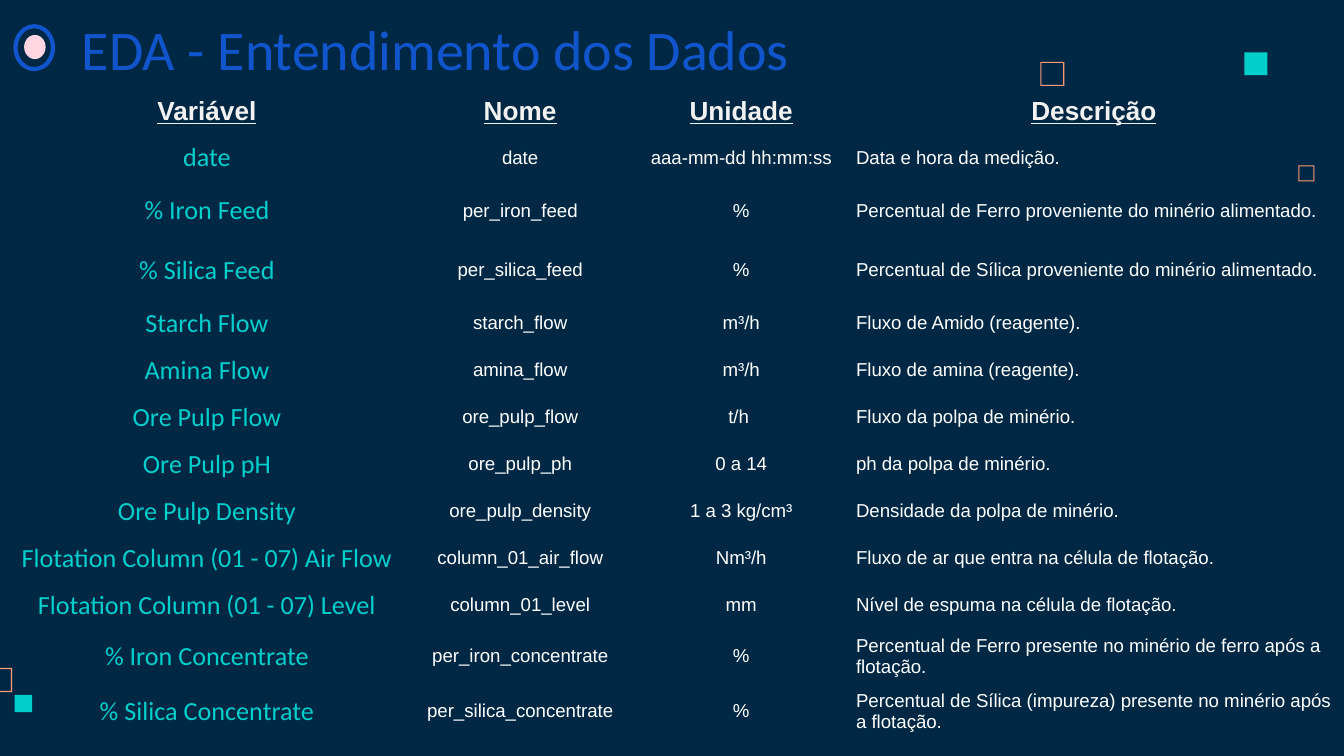
from typing import NamedTuple

from pptx import Presentation
from pptx.dml.color import RGBColor
from pptx.enum.shapes import MSO_SHAPE
from pptx.enum.text import MSO_ANCHOR, MSO_AUTO_SIZE, PP_ALIGN
from pptx.util import Inches, Pt

SQUARE, FRAME = MSO_SHAPE.RECTANGLE, MSO_SHAPE.FRAME
OVAL, DONUT = MSO_SHAPE.OVAL, MSO_SHAPE.DONUT
MIDDLE = MSO_ANCHOR.MIDDLE
LEFT, CENTER = PP_ALIGN.LEFT, PP_ALIGN.CENTER
FIXED_SIZE = MSO_AUTO_SIZE.NONE

COLORS = {
    "background": "002845",
    "title": "1155CC",
    "teal": "00CFCC",
    "orange": "FF9973",
    "pink": "FFD6E1",
    "header": "F2F2F2",
    "body": "FFFFFF",
}
SLIDE_WIDTH = Inches(10)
SLIDE_HEIGHT = SLIDE_WIDTH * 9 // 16
TITLE_ONLY_LAYOUT = 5
PLAIN_TABLE_STYLE = "{2D5ABB26-0587-4C30-8999-92F81FD0307C}"
COLUMN_WIDTHS = [3.08, 1.58, 1.71, 1.86, 1.68]
DESCRIPTION_COLUMN = 3


class Ornament(NamedTuple):
    kind: int
    left: float
    top: float
    width: float
    height: float
    color: str
    thickness: float | None = None


class Variable(NamedTuple):
    label: str
    name: str
    unit: str
    description: str
    height: float = 0.35


ORNAMENTS = [
    Ornament(FRAME, 9.66, 1.23, 0.12, 0.12, "orange", 0.07),
    Ornament(FRAME, 7.74, 0.46, 0.18, 0.18, "orange", 0.05),
    Ornament(SQUARE, 9.26, 0.39, 0.17, 0.17, "teal"),
    Ornament(FRAME, -0.09, 4.97, 0.18, 0.18, "orange", 0.05),
    Ornament(SQUARE, 0.11, 5.17, 0.13, 0.13, "teal"),
]
TITLE_MARKER = [
    Ornament(OVAL, 0.18, 0.26, 0.16, 0.18, "pink"),
    Ornament(DONUT, 0.1, 0.18, 0.31, 0.35, "title", 0.1),
]
HEADER = Variable("Variável", "Nome", "Unidade", "Descrição", 0.34)
VARIABLES = [
    Variable("date", "date", "aaa-mm-dd hh:mm:ss", "Data e hora da medição."),
    Variable("% Iron Feed", "per_iron_feed", "%",
             "Percentual de Ferro proveniente do minério alimentado.", 0.44),
    Variable("% Silica Feed", "per_silica_feed", "%",
             "Percentual de Sílica proveniente do minério alimentado.", 0.44),
    Variable("Starch Flow", "starch_flow", "m³/h", "Fluxo de Amido (reagente)."),
    Variable("Amina Flow", "amina_flow", "m³/h", "Fluxo de amina (reagente)."),
    Variable("Ore Pulp Flow", "ore_pulp_flow", "t/h ", "Fluxo da polpa de minério."),
    Variable("Ore Pulp pH", "ore_pulp_ph", "0 a 14", "ph da polpa de minério."),
    Variable("Ore Pulp Density", "ore_pulp_density", "1 a 3 kg/cm³",
             "Densidade da polpa de minério."),
    Variable("Flotation Column (01 - 07) Air Flow", "column_01_air_flow", "Nm³/h",
             "Fluxo de ar que entra na célula de flotação."),
    Variable("Flotation Column (01 - 07) Level", "column_01_level", "mm",
             "Nível de espuma na célula de flotação."),
    Variable("% Iron Concentrate", "per_iron_concentrate", "%",
             "Percentual de Ferro presente no minério de ferro após a flotação.", 0.41),
    Variable("% Silica Concentrate", "per_silica_concentrate", "%",
             "Percentual de Sílica (impureza) presente no minério após a flotação.", 0.41),
]


def write_text(text_frame, text: str, *, size: int, color: str, font: str = "Arial",
               align: int = CENTER, bold: bool = False, underline: bool = False) -> None:
    paragraph = text_frame.paragraphs[0]
    paragraph.alignment = align
    run = paragraph.add_run()
    run.text = text
    run.font.name = font
    run.font.size = Pt(size)
    run.font.bold = bold
    run.font.underline = underline
    run.font.color.rgb = RGBColor.from_string(COLORS[color])


def set_insets(target, inset: float) -> None:
    target.margin_left = target.margin_right = Inches(inset)
    target.margin_top = target.margin_bottom = Inches(inset)


def draw_ornament(shapes, ornament: Ornament) -> None:
    shape = shapes.add_shape(
        ornament.kind, Inches(ornament.left), Inches(ornament.top),
        Inches(ornament.width), Inches(ornament.height))
    shape.shadow.inherit = False
    shape.fill.solid()
    shape.fill.fore_color.rgb = RGBColor.from_string(COLORS[ornament.color])
    shape.line.fill.background()
    if ornament.thickness is not None:
        shape.adjustments[0] = ornament.thickness


def draw_title(slide) -> None:
    title = slide.shapes.title
    title.left, title.top = Inches(0.51), Inches(0.12)
    title.width, title.height = Inches(8.34), Inches(0.47)
    text_frame = title.text_frame
    text_frame.word_wrap = True
    text_frame.auto_size = FIXED_SIZE
    text_frame.vertical_anchor = MIDDLE
    set_insets(text_frame, 0.1)
    write_text(text_frame, "EDA - Entendimento dos Dados", size=30,
               color="title", font="Calibri", align=LEFT)


def cell_format(row: int, column: int) -> dict:
    if row == 0:
        return dict(size=14, color="header", bold=True, underline=True)
    if column == 0:
        return dict(size=14, color="teal", font="Calibri")
    return dict(size=10, color="body",
                align=LEFT if column == DESCRIPTION_COLUMN else CENTER)


def draw_table(slide) -> None:
    rows = [HEADER, *VARIABLES]
    graphic_frame = slide.shapes.add_table(
        len(rows), len(COLUMN_WIDTHS), Inches(0), Inches(0.66),
        Inches(sum(COLUMN_WIDTHS)), Inches(sum(row.height for row in rows)))
    table = graphic_frame.table
    table.first_row = table.horz_banding = False
    properties = graphic_frame._element.graphic.graphicData.tbl.tblPr
    properties[0].text = PLAIN_TABLE_STYLE
    for column, width in zip(table.columns, COLUMN_WIDTHS):
        column.width = Inches(width)
    for row_index, row in enumerate(rows):
        table.rows[row_index].height = Inches(row.height)
        table.cell(row_index, DESCRIPTION_COLUMN).merge(
            table.cell(row_index, len(COLUMN_WIDTHS) - 1))
        for cell in table.rows[row_index].cells:
            cell.fill.background()
            cell.vertical_anchor = MIDDLE
            set_insets(cell, 0)
        texts = (row.label, row.name, row.unit, row.description)
        for column_index, text in enumerate(texts):
            write_text(table.cell(row_index, column_index).text_frame, text,
                       **cell_format(row_index, column_index))


def main() -> None:
    presentation = Presentation()
    presentation.slide_width, presentation.slide_height = SLIDE_WIDTH, SLIDE_HEIGHT
    slide = presentation.slides.add_slide(presentation.slide_layouts[TITLE_ONLY_LAYOUT])
    slide.background.fill.solid()
    slide.background.fill.fore_color.rgb = RGBColor.from_string(COLORS["background"])
    for ornament in ORNAMENTS:
        draw_ornament(slide.shapes, ornament)
    marker = slide.shapes.add_group_shape()
    for ornament in TITLE_MARKER:
        draw_ornament(marker.shapes, ornament)
    draw_title(slide)
    draw_table(slide)
    presentation.save("out.pptx")


if __name__ == "__main__":
    main()
